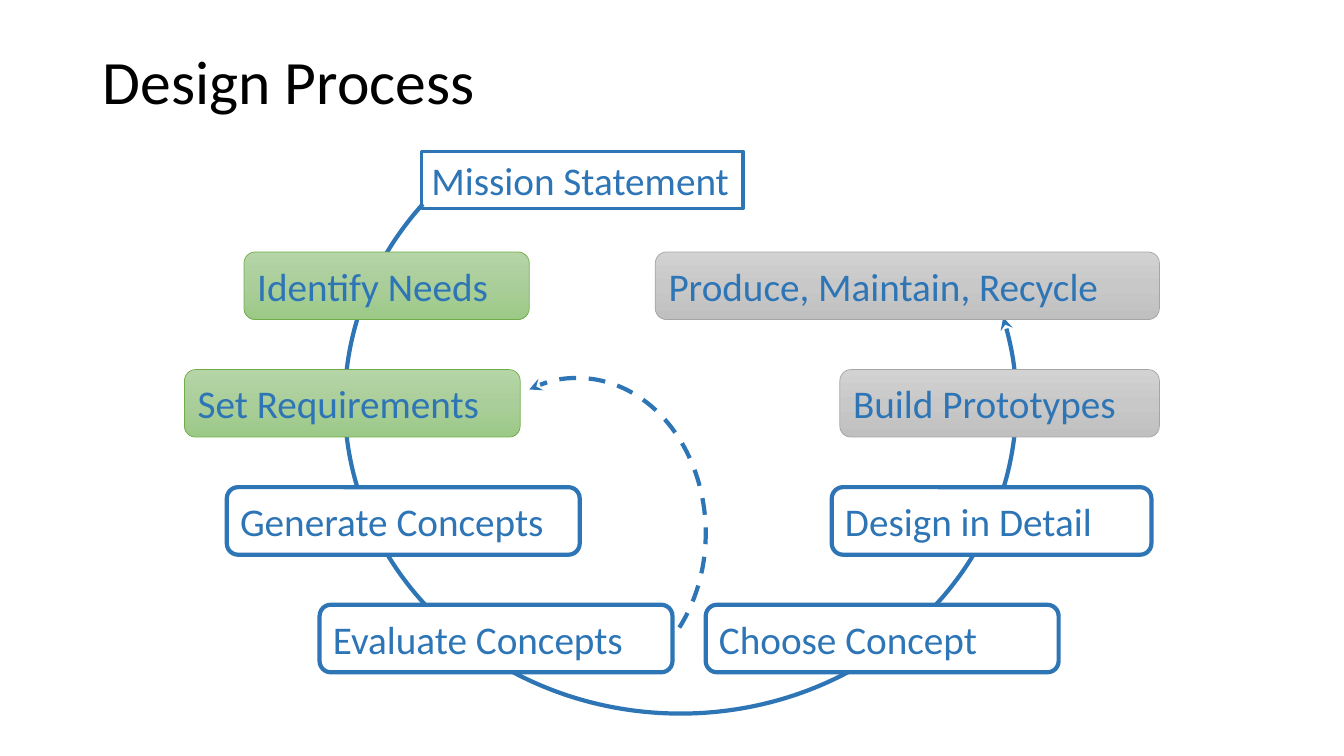
"""Build the Design Process slide: a loop of steps with a feedback arc."""
from copy import deepcopy
from dataclasses import dataclass

from lxml.etree import SubElement
from pptx import Presentation
from pptx.dml.color import RGBColor
from pptx.enum.dml import MSO_LINE
from pptx.enum.shapes import MSO_SHAPE
from pptx.enum.text import MSO_ANCHOR, MSO_AUTO_SIZE, PP_ALIGN
from pptx.oxml.ns import qn
from pptx.util import Inches, Pt

ARC, RECT = MSO_SHAPE.ARC, MSO_SHAPE.RECTANGLE
ROUND = MSO_SHAPE.FLOWCHART_ALTERNATE_PROCESS
DASH = MSO_LINE.DASH
LEFT = PP_ALIGN.LEFT
TOP, MIDDLE = MSO_ANCHOR.TOP, MSO_ANCHOR.MIDDLE
GROW, FIXED = MSO_AUTO_SIZE.SHAPE_TO_FIT_TEXT, MSO_AUTO_SIZE.NONE

FONT = "Calibri"
BLACK = RGBColor(0x00, 0x00, 0x00)
WHITE = RGBColor(0xFF, 0xFF, 0xFF)
BLUE = RGBColor(0x2E, 0x75, 0xB6)
GREEN = RGBColor(0x70, 0xAD, 0x47)
GREY = RGBColor(0xA5, 0xA5, 0xA5)
GREENS = (RGBColor(0xB5, 0xD5, 0xA7), RGBColor(0xAA, 0xCE, 0x9A), RGBColor(0x9C, 0xC9, 0x87))
GREYS = (RGBColor(0xD2, 0xD2, 0xD2), RGBColor(0xC8, 0xC8, 0xC8), RGBColor(0xC0, 0xC0, 0xC0))

ROW_TOP, ROW_STEP, ROW_HIGH = 2.5, 3.5 / 3, 0.67


@dataclass(frozen=True)
class Look:
    fill: tuple
    line: RGBColor
    width: float


@dataclass(frozen=True)
class Step:
    text: str
    left: float
    row: int
    wide: float
    look: Look


@dataclass(frozen=True)
class Curve:
    mid_x: float
    mid_y: float
    rad_x: float
    rad_y: float
    start: float
    end: float
    dash: bool


DONE = Look(GREENS, GREEN, 0.5)
NOW = Look((WHITE,), BLUE, 3)
LATER = Look(GREYS, GREY, 0.5)

STEPS = (
    Step("Identify Needs", 2.42, 0, 2.83, DONE),
    Step("Set Requirements", 1.83, 1, 3.33, DONE),
    Step("Generate Concepts", 2.25, 2, 3.5, NOW),
    Step("Evaluate Concepts", 3.17, 3, 3.5, NOW),
    Step("Choose Concept", 7, 3, 3.5, NOW),
    Step("Design in Detail", 8.25, 2, 3.17, NOW),
    Step("Build Prototypes", 8.33, 1, 3.17, LATER),
    Step("Produce, Maintain, Recycle", 6.5, 0, 5, LATER),
)
LOOP = Curve(6.75, 4, 3.33, 3.08, 322.3, 194.9, False)
BACK = Curve(5.73, 5.29, 1.27, 1.54, 137.1, 288.6, True)


def write(shape, text: str, *, size: float = 28, color: RGBColor = BLUE,
          anchor=MIDDLE, wrap: bool = False, fit=FIXED, space: float = 1) -> None:
    """Put formatted, left-aligned text in a shape."""
    frame = shape.text_frame
    frame.word_wrap, frame.auto_size = wrap, fit
    frame.vertical_anchor = anchor
    para = frame.paragraphs[0]
    para.alignment, para.line_spacing = LEFT, space
    run = para.add_run()
    run.text = text
    run.font.name, run.font.size = FONT, Pt(size)
    run.font.color.rgb = color


def draw(slide, kind, left: float, top: float, wide: float, high: float,
         line: RGBColor, width: float):
    """Add an unfilled preset shape with an outline and no shadow."""
    shape = slide.shapes.add_shape(kind, Inches(left), Inches(top), Inches(wide), Inches(high))
    shape.shadow.inherit = False
    shape.fill.background()
    shape.line.color.rgb, shape.line.width = line, Pt(width)
    return shape


def paint(shape, tones: tuple) -> None:
    """Fill a shape with one tone or a downward blend of three."""
    fill = shape.fill
    if len(tones) == 1:
        fill.solid()
        fill.fore_color.rgb = tones[0]
        return
    fill.gradient()
    fill.gradient_angle = 270
    stops = shape.element.spPr.find(".//" + qn("a:gsLst"))
    stops.append(deepcopy(stops[0]))
    for spot, (stop, tone) in enumerate(zip(fill.gradient_stops, tones)):
        stop.position, stop.color.rgb = spot / 2, tone


def add_step(slide, step: Step) -> None:
    """Draw one labelled step of the process."""
    look = step.look
    top = ROW_TOP + step.row * ROW_STEP
    box = draw(slide, ROUND, step.left, top, step.wide, ROW_HIGH, look.line, look.width)
    paint(box, look.fill)
    write(box, step.text)


def add_curve(slide, curve: Curve) -> None:
    """Draw a mirrored arc that ends in an arrowhead."""
    arc = draw(slide, ARC, curve.mid_x - curve.rad_x, curve.mid_y - curve.rad_y,
               2 * curve.rad_x, 2 * curve.rad_y, BLUE, 3)
    for spot, angle in enumerate((curve.start, curve.end)):
        arc.adjustments[spot] = (angle if angle <= 180 else angle - 360) * 0.6 % 216
    if curve.dash:
        arc.line.dash_style = DASH
    props = arc.element.spPr
    props.find(qn("a:xfrm")).set("flipH", "1")
    SubElement(props.find(qn("a:ln")), qn("a:tailEnd"), type="stealth")


def main() -> None:
    """Build and save the slide."""
    deck = Presentation()
    deck.slide_width, deck.slide_height = Inches(13.33), Inches(7.5)
    slide = deck.slides.add_slide(deck.slide_layouts[5])
    title = slide.shapes.title
    title.left, title.top = Inches(0.92), Inches(0.4)
    title.width, title.height = Inches(11.5), Inches(0.88)
    write(title, "Design Process", size=44, color=BLACK, wrap=True, space=0.9)
    add_curve(slide, LOOP)
    for step in STEPS:
        add_step(slide, step)
    goal = draw(slide, RECT, 4.18, 1.5, 3.19, 0.57, BLUE, 2.25)
    write(goal, "Mission Statement", anchor=TOP, fit=GROW)
    add_curve(slide, BACK)
    deck.save("out.pptx")


if __name__ == "__main__":
    main()
